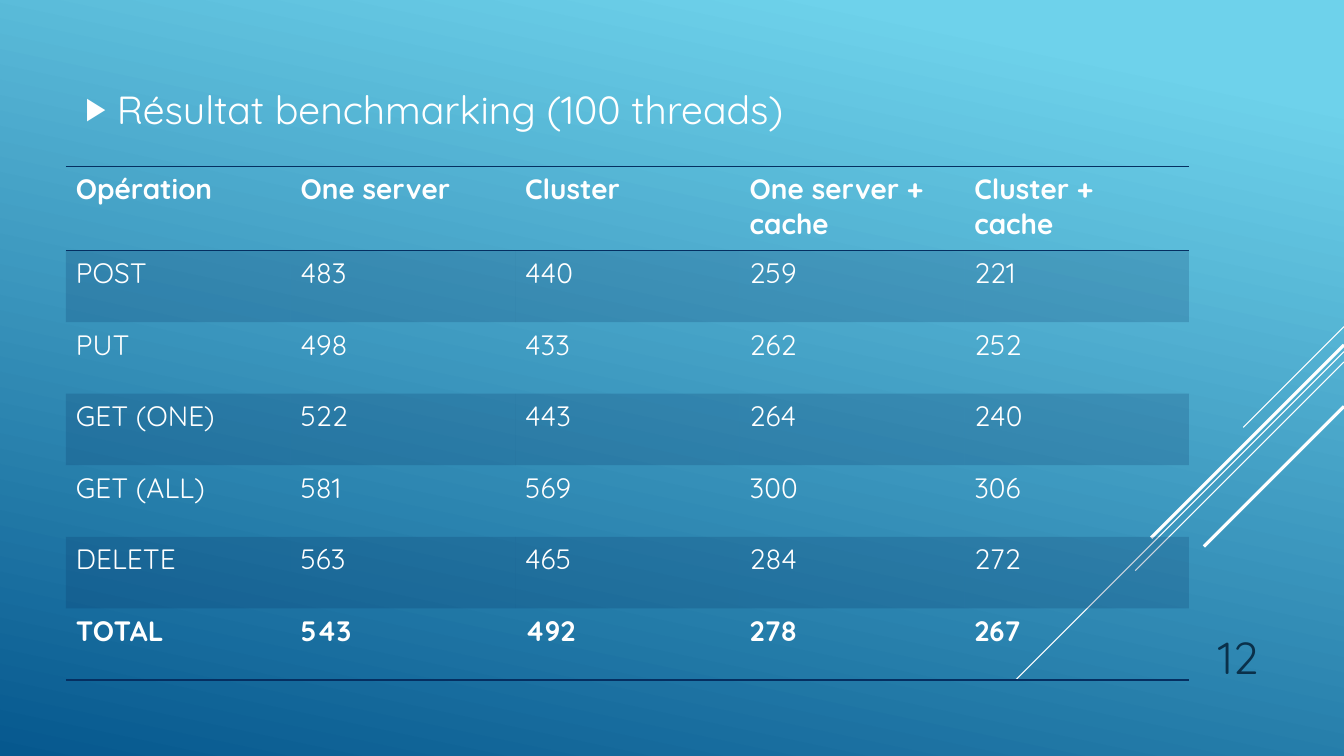
import pptx
import pptx.util
import pptx.dml.color
import pptx.enum.shapes
import pptx.enum.text
import pptx.oxml
import pptx.oxml.ns
from lxml import etree

Cm = pptx.util.Cm
Pt = pptx.util.Pt
qn = pptx.oxml.ns.qn
ALIGN = pptx.enum.text.PP_ALIGN
ANCHOR = pptx.enum.text.MSO_ANCHOR

FONT = "Quicksand"
WHITE = "FFFFFF"
NAVY = "052F61"
NO_GRID_STYLE = "{2D5ABB26-0587-4C30-8999-92F81FD0307C}"
WIDTH, HEIGHT = 33.87, 19.05

RESULTS = [
    ["Opération", "One server", "Cluster", "One server + cache", "Cluster + cache"],
    ["POST", "483", "440", "259", "221"],
    ["PUT", "498", "433", "262", "252"],
    ["GET (ONE)", "522", "443", "264", "240"],
    ["GET (ALL)", "581", "569", "300", "306"],
    ["DELETE", "563", "465", "284", "272"],
    ["TOTAL", "543", "492", "278", "267"],
]

STREAKS = [(8.23, 2.54, 0.75), (8.86, 8.28, 0.75), (9.12, 5.26, 0.75),
           (8.69, 4.86, 2.25), (10.24, 3.53, 2.25)]


def rgb(color):
    return pptx.dml.color.RGBColor.from_string(color)


def xml(parent, tag, **attrs):
    return etree.SubElement(parent, qn(tag), attrs)


def write(tf, text, size=20, color=WHITE, bold=False, align=ALIGN.LEFT):
    p = tf.paragraphs[0]
    p.alignment = align
    r = p.add_run()
    r.text = text
    r.font.name = FONT
    r.font.size = Pt(size)
    r.font.bold = bold
    r.font.color.rgb = rgb(color)
    return p


def paint_background(s):
    fill = s.background.fill
    fill.gradient()
    fill.gradient_angle = 258
    for stop, (pos, color) in zip(fill.gradient_stops, [(0.1, "6ED2EB"), (1, "06588E")]):
        stop.position = pos
        stop.color.rgb = rgb(color)


def add_streaks(s, right):
    for top, reach, weight in STREAKS:
        line = s.shapes.add_connector(
            pptx.enum.shapes.MSO_CONNECTOR.STRAIGHT,
            Cm(right), Cm(top), Cm(right - reach), Cm(top + reach))
        line.line.color.rgb = rgb(WHITE)
        line.line.width = Pt(weight)
        xml(line._element.spPr, "a:effectLst")


def add_heading(s, text, x, y, w, h):
    s.shapes.title._element.getparent().remove(s.shapes.title._element)
    sp = s.placeholders[1]
    sp.left, sp.top, sp.width, sp.height = Cm(x), Cm(y), Cm(w), Cm(h)
    tf = sp.text_frame
    tf.auto_size = pptx.enum.text.MSO_AUTO_SIZE.NONE
    tf.vertical_anchor = ANCHOR.MIDDLE
    p = write(tf, text, size=28)
    p.space_before, p.space_after = Pt(5.6), Pt(6)
    pPr = p._p.get_or_add_pPr()
    pPr.set("marL", str(Cm(0.79)))
    pPr.set("indent", str(-Cm(0.79)))
    xml(xml(pPr, "a:buClr"), "a:srgbClr", val=WHITE)
    xml(pPr, "a:buSzPct", val="80000")
    xml(pPr, "a:buFont", typeface="Arial")
    xml(pPr, "a:buChar", char="▶")


def add_page_number(s, text, x, y, w, h):
    tf = s.shapes.add_textbox(Cm(x), Cm(y), Cm(w), Cm(h)).text_frame
    tf.word_wrap = True
    tf.vertical_anchor = ANCHOR.BOTTOM
    write(tf, text, size=32, color="0A304A", align=ALIGN.RIGHT)


def set_borders(cell, sides):
    tcPr = cell._tc.get_or_add_tcPr()
    for i, side in enumerate(sides):
        ln = xml(tcPr, "a:ln" + side, w=str(Pt(1)))
        xml(xml(ln, "a:solidFill"), "a:srgbClr", val=NAVY)
        tcPr.insert(i, ln)


def fill_cell(cell, banded):
    if not banded:
        cell.fill.background()
        return
    cell.fill.solid()
    cell.fill.fore_color.rgb = rgb(NAVY)
    color = cell._tc.tcPr.find(".//" + qn("a:srgbClr"))
    xml(color, "a:alpha", val="20000")


def add_results(s, rows, x, y, w, h, header):
    last = len(rows) - 1
    cols = len(rows[0])
    table = s.shapes.add_table(len(rows), cols, Cm(x), Cm(y), Cm(w), Cm(h)).table
    table.horz_banding = False
    table._tbl.tblPr.find(qn("a:tableStyleId")).text = NO_GRID_STYLE
    for col in table.columns:
        col.width = Cm(w / cols)
    for i, values in enumerate(rows):
        table.rows[i].height = Cm(header if i == 0 else (h - header) / last)
        for j, value in enumerate(values):
            cell = table.cell(i, j)
            write(cell.text_frame, value, bold=i in (0, last))
            fill_cell(cell, banded=i % 2 == 1)
            set_borders(cell, {0: "TB", last: "B"}.get(i, ""))


def benchmark_slide(prs):
    s = prs.slides.add_slide(prs.slide_layouts[1])
    paint_background(s)
    add_streaks(s, WIDTH)
    add_heading(s, "Résultat benchmarking (100 threads)", 1.9, 1.9, 23.7, 1.68)
    add_page_number(s, "12", 28.78, 15.5, 3.18, 1.85)
    add_results(s, RESULTS, 1.66, 4.19, 28.3, 12.95, header=2.12)


prs = pptx.Presentation()
prs.slide_width, prs.slide_height = Cm(WIDTH), Cm(HEIGHT)
benchmark_slide(prs)
prs.save("out.pptx")
